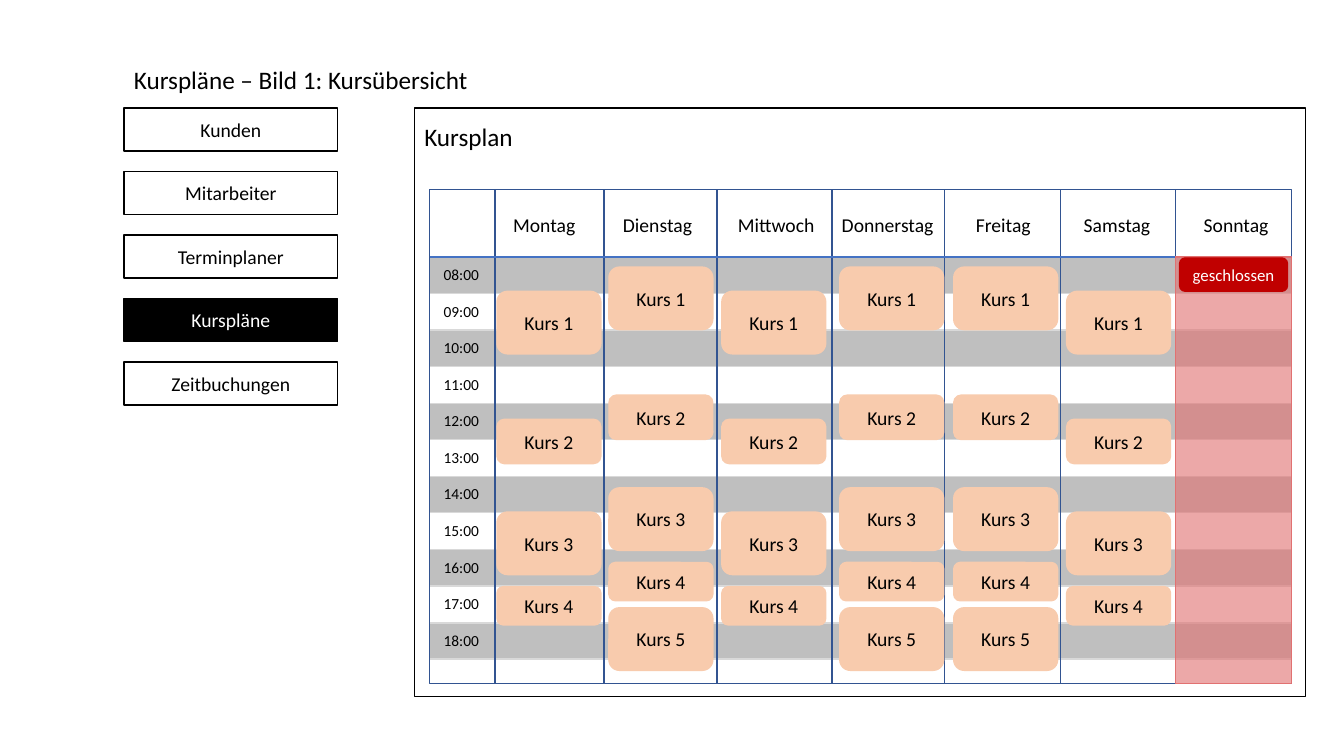
from collections import namedtuple
from itertools import accumulate

from lxml import etree
from pptx import Presentation
from pptx import util as u
from pptx.dml.color import RGBColor
from pptx.enum import shapes, text
from pptx.oxml.ns import qn

COLORS = {
    "black": "000000", "white": "FFFFFF", "band": "BFBFBF", "band_edge": "D9D9D9",
    "grid": "325491", "rule": "4472C4", "course": "F8CBAD",
    "closed": "E17171", "badge": "C00000",
}
FONT = "Calibri"
RECT = shapes.MSO_SHAPE.RECTANGLE
ROUNDED = shapes.MSO_SHAPE.ROUNDED_RECTANGLE
LEFT, CENTER = text.PP_ALIGN.LEFT, text.PP_ALIGN.CENTER

Box = namedtuple("Box", "left top width height")
Day = namedtuple("Day", "name width label_inset course_inset delay count")

MENU = ["Kunden", "Mitarbeiter", "Terminplaner", "Kurspläne", "Zeitbuchungen"]
ACTIVE = "Kurspläne"
LATE = 0.24
DAYS = [
    Day("Montag", 1.08, 0.08, 0.02, LATE, 4),
    Day("Dienstag", 1.12, 0.09, 0.05, 0, 5),
    Day("Mittwoch", 1.14, 0.11, 0.05, LATE, 4),
    Day("Donnerstag", 1.12, 0, 0.08, 0, 5),
    Day("Freitag", 1.15, 0.21, 0.09, 0, 5),
    Day("Samstag", 1.14, 0.13, 0.06, LATE, 4),
    Day("Sonntag", 1.15, 0.18, 0, 0, 0),
]
COURSES = [(0.1, 0.62), (1.37, 0.44), (2.29, 0.62), (3.03, 0.38), (3.48, 0.62)]
HOURS = range(8, 19)
TIME_WIDTH = 0.65
HEADER = 0.67
ROW = 3.63 / 10
COURSE_WIDTH = 1.03


def rgb(name):
    return RGBColor.from_string(COLORS[name])


def inches(box):
    return [u.Inches(length) for length in box]


def write(shape, words, size, color, align):
    frame = shape.text_frame
    frame.word_wrap = True
    para = frame.paragraphs[0]
    para.text = words
    para.alignment = align
    para.font.name = FONT
    para.font.size = u.Pt(size)
    para.font.color.rgb = rgb(color)


def add_label(page, box, words, size, align=LEFT):
    label = page.shapes.add_textbox(*inches(box))
    write(label, words, size, "black", align)


def add_block(page, box, fill, line, words="", size=14, color="black", kind=RECT):
    block = page.shapes.add_shape(kind, *inches(box))
    block.shadow.inherit = False
    if fill:
        block.fill.solid()
        block.fill.fore_color.rgb = rgb(fill)
    else:
        block.fill.background()
    block.line.color.rgb = rgb(line)
    block.line.width = u.Pt(1)
    if words:
        write(block, words, size, color, CENTER)
        block.text_frame.vertical_anchor = text.MSO_ANCHOR.MIDDLE
    return block


def add_rule(page, left, top, width):
    ends = [u.Inches(length) for length in (left, top, left + width, top)]
    rule = page.shapes.add_connector(shapes.MSO_CONNECTOR.STRAIGHT, *ends)
    rule.line.color.rgb = rgb("rule")
    rule.line.width = u.Pt(1.5)
    etree.SubElement(rule._element.spPr, qn("a:effectLst"))


def add_menu(page, box):
    height = 0.43
    pitch = (box.height - height) / (len(MENU) - 1)
    for index, name in enumerate(MENU):
        fill, color = ("black", "white") if name == ACTIVE else ("white", "black")
        button = Box(box.left, box.top + index * pitch, box.width, height)
        add_block(page, button, fill, "black", name, color=color)


def add_closed_day(page, box):
    veil = add_block(page, box, "closed", "closed")
    tint = veil._element.spPr.find(qn("a:solidFill"))[0]
    etree.SubElement(tint, qn("a:alpha"), val="61000")
    badge = Box(box.left + 0.04, box.top + 0.01, box.width - 0.08, 0.33)
    add_block(page, badge, "badge", "badge", "geschlossen", 12, "white", ROUNDED)


def add_courses(page, box, day):
    for number, (start, height) in enumerate(COURSES[:day.count], 1):
        course = Box(box.left + day.course_inset, box.top + start + day.delay,
                     COURSE_WIDTH, height)
        add_block(page, course, "course", "course", f"Kurs {number}", kind=ROUNDED)


def add_timetable(page, box):
    body_top = box.top + HEADER
    body_height = box.height - HEADER
    for row in range(0, len(HOURS), 2):
        band = Box(box.left, body_top + row * ROW, box.width, 0.36)
        add_block(page, band, "band", "band_edge")

    widths = [TIME_WIDTH] + [day.width for day in DAYS]
    lefts = list(accumulate(widths[:-1], initial=box.left))
    for left, width in zip(lefts, widths):
        add_block(page, Box(left, box.top, width, box.height), None, "grid")
    add_rule(page, box.left, body_top, box.width)

    for row, hour in enumerate(HOURS):
        cell = Box(box.left - 0.01, body_top + 0.03 + row * ROW, TIME_WIDTH, 0.29)
        add_label(page, cell, f"{hour:02}:00", 11, CENTER)

    for left, day in zip(lefts[1:], DAYS):
        column = Box(left, body_top, day.width, body_height)
        if not day.count:
            add_closed_day(page, column)
        heading = Box(left + day.label_inset, box.top + 0.18, 1.13, 0.34)
        add_label(page, heading, day.name, 14)
        add_courses(page, column, day)


def add_plan(page, box):
    add_block(page, box, None, "black")
    add_label(page, Box(box.left, box.top + 0.08, 2.66, 0.4), "Kursplan", 18)
    add_timetable(page, Box(box.left + 0.15, box.top + 0.81, 8.55, 4.9))


def main():
    deck = Presentation()
    deck.slide_width = u.Inches(13.33)
    deck.slide_height = u.Inches(7.5)
    page = deck.slides.add_slide(deck.slide_layouts[6])
    add_label(page, Box(1.23, 0.59, 7.16, 0.4), "Kurspläne – Bild 1: Kursübersicht", 18)
    add_menu(page, Box(1.23, 1.07, 2.12, 2.95))
    add_plan(page, Box(4.11, 1.07, 8.84, 5.84))
    deck.save("out.pptx")


if __name__ == "__main__":
    main()
